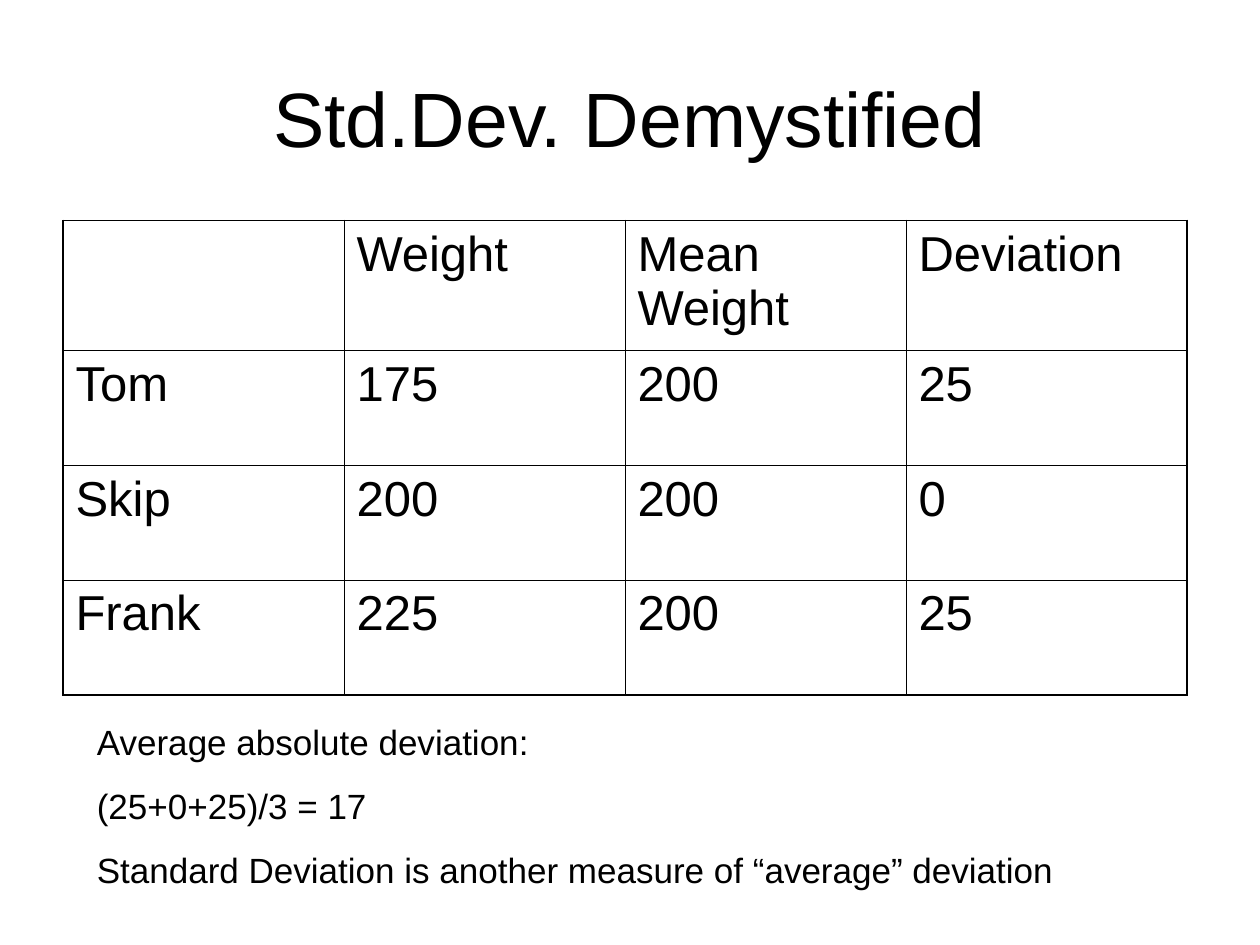
from lxml import etree
from pptx import Presentation
from pptx.dml.color import RGBColor
from pptx.enum.text import MSO_ANCHOR, PP_ALIGN
from pptx.oxml.ns import qn
from pptx.util import Inches, Pt

BLACK = RGBColor(0, 0, 0)
LEFT, CENTER = PP_ALIGN.LEFT, PP_ALIGN.CENTER
TOP, MIDDLE = MSO_ANCHOR.TOP, MSO_ANCHOR.MIDDLE
THIN, THICK = Pt(0.45), Pt(1.08)

ROWS = [
    ["", "Weight", "Mean Weight", "Deviation"],
    ["Tom", "175", "200", "25"],
    ["Skip", "200", "200", "0"],
    ["Frank", "225", "200", "25"],
]
NOTES = [
    "Average absolute deviation:",
    "(25+0+25)/3 = 17",
    "Standard Deviation is another measure of “average” deviation",
]


class Deck:
    font = "Arial"
    color = BLACK

    def __init__(self, slide):
        self.slide = slide

    def add_lines(self, frame, lines, size, space=0, align=LEFT):
        for i, line in enumerate(lines):
            para = frame.add_paragraph() if i else frame.paragraphs[0]
            para.alignment = align
            para.space_before = Pt(space)
            run = para.add_run()
            run.text = line
            run.font.name = self.font
            run.font.size = Pt(size)
            run.font.color.rgb = self.color

    def text(self, box, lines, size, space=0, align=LEFT, anchor=TOP):
        frame = self.slide.shapes.add_textbox(*map(Inches, box)).text_frame
        frame.word_wrap = True
        frame.vertical_anchor = anchor
        self.add_lines(frame, lines, size, space, align)

    def edge(self, cell, side, width):
        props = cell._tc.get_or_add_tcPr()
        line = etree.SubElement(props, qn(f"a:ln{side}"), w=str(int(width)))
        fill = etree.SubElement(line, qn("a:solidFill"))
        etree.SubElement(fill, qn("a:srgbClr"), val=str(self.color))

    def table(self, box, rows, heights, size, space):
        last, end = len(rows) - 1, len(rows[0]) - 1
        shape = self.slide.shapes.add_table(
            len(rows), len(rows[0]), *map(Inches, box))
        grid = shape.table
        grid.first_row = grid.horz_banding = False
        for row, height in zip(grid.rows, heights):
            row.height = Inches(height)
        for r, row in enumerate(rows):
            for c, word in enumerate(row):
                cell = grid.cell(r, c)
                outer = {"L": c == 0, "R": c == end, "T": r == 0, "B": r == last}
                for side, thick in outer.items():
                    self.edge(cell, side, THICK if thick else THIN)
                cell.fill.background()
                if word:
                    self.add_lines(cell.text_frame, [word], size, space)


def main():
    show = Presentation()
    show.slide_width, show.slide_height = Inches(10), Inches(7.5)
    deck = Deck(show.slides.add_slide(show.slide_layouts[6]))
    deck.text((0.5, 0.3, 9, 1.25), ["Std.Dev. Demystified"], 44,
              align=CENTER, anchor=MIDDLE)
    deck.table((0.5, 1.75, 8.92, 3.76), ROWS, [1.03, 0.91, 0.91, 0.91], 28, 7)
    deck.text((0.67, 5.67, 8.42, 1.45), NOTES, 20, 12.5)
    show.save("out.pptx")


if __name__ == "__main__":
    main()
